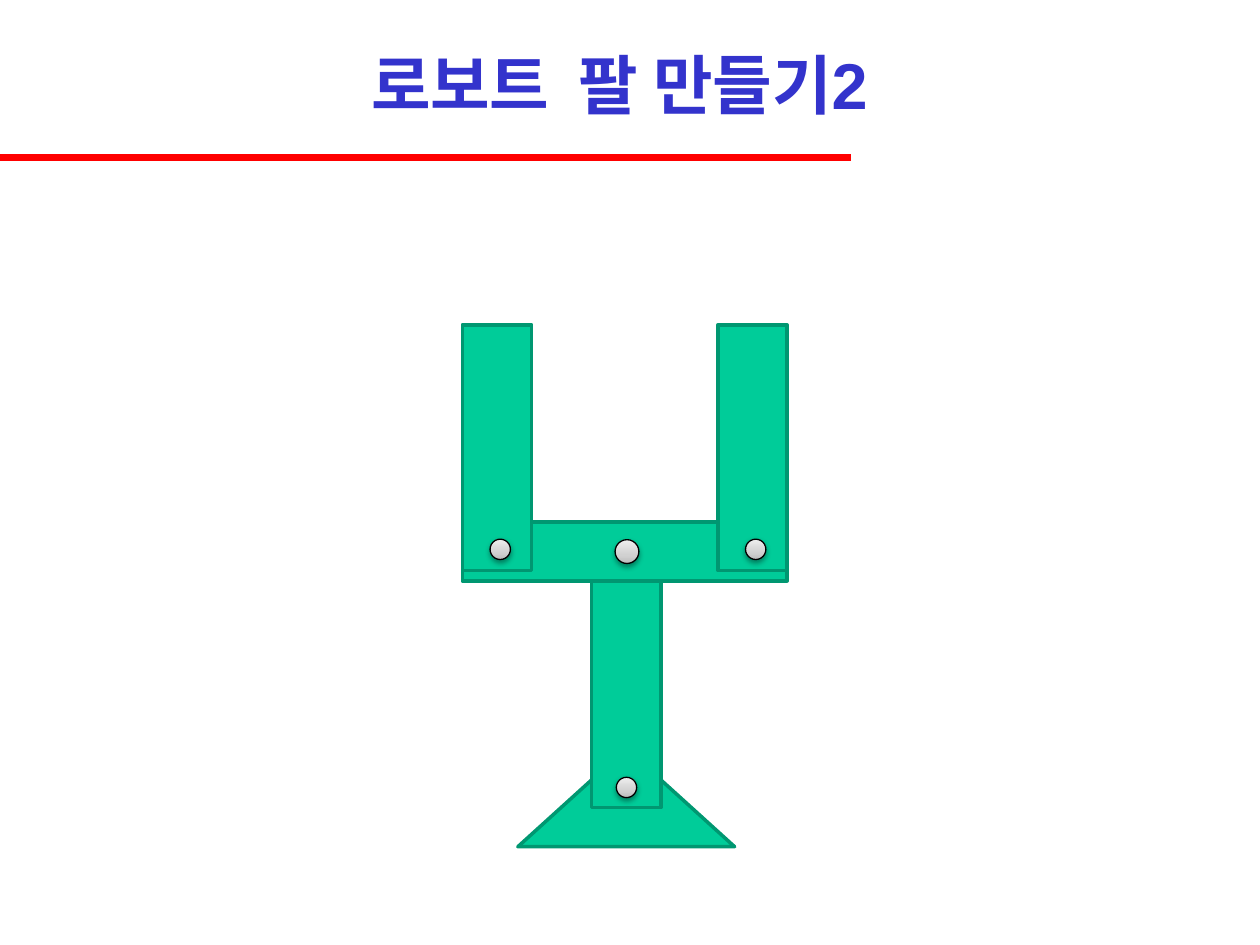
from lxml.etree import SubElement
from pptx import Presentation
from pptx.dml.color import RGBColor
from pptx.enum.shapes import MSO_CONNECTOR as Connector, MSO_SHAPE as Shape
from pptx.enum.text import MSO_ANCHOR as Anchor, PP_ALIGN as Align
from pptx.oxml.ns import qn
from pptx.util import Cm, Pt

RED = RGBColor(0xFF, 0x00, 0x00)
BLUE = RGBColor(0x33, 0x33, 0xCC)
GREEN = RGBColor(0x00, 0xCC, 0x99)
DARK_GREEN = RGBColor(0x00, 0x97, 0x71)
BLACK = RGBColor(0x00, 0x00, 0x00)
METAL = (
    (0, RGBColor(0xBD, 0xBD, 0xBD)),
    (35, RGBColor(0xD1, 0xD1, 0xD1)),
    (100, RGBColor(0xEE, 0xEE, 0xEE)),
)
TITLE_FONT = {"name": "Arial", "size": Pt(37), "bold": True}
TITLE_FRAME = {
    "word_wrap": True,
    "vertical_anchor": Anchor.MIDDLE,
    "margin_left": Cm(0.25),
    "margin_right": Cm(0.25),
    "margin_top": Cm(0.13),
    "margin_bottom": Cm(0.13),
}


def apply_format(target, values):
    for key, value in values.items():
        setattr(target, key, value)


def add_outlined(shapes, kind, box, color, weight):
    part = shapes.add_shape(kind, *map(Cm, box))
    part.shadow.inherit = False
    part.line.color.rgb = color
    part.line.width = Pt(weight)
    return part


def add_plate(shapes, box, kind=Shape.RECTANGLE):
    plate = add_outlined(shapes, kind, box, DARK_GREEN, 2)
    plate.fill.solid()
    plate.fill.fore_color.rgb = GREEN


def add_pin(shapes, left, top, size=0.41):
    pin = add_outlined(shapes, Shape.OVAL, (left, top, size, size), BLACK, 0.75)
    pin.fill.gradient()
    pin.fill.gradient_angle = 90
    properties = pin.element.spPr
    stops = properties.find(".//" + qn("a:gsLst"))
    for stop in list(stops):
        stops.remove(stop)
    for percent, color in METAL:
        stop = SubElement(stops, qn("a:gs"), pos=str(percent * 1000))
        SubElement(stop, qn("a:srgbClr"), val=str(color))
    shadow = SubElement(
        properties.find(qn("a:effectLst")), qn("a:outerShdw"),
        blurRad=str(Pt(3.1)), dist=str(Pt(1.6)), dir="5400000", rotWithShape="0",
    )
    shade = SubElement(shadow, qn("a:srgbClr"), val=str(BLACK))
    SubElement(shade, qn("a:alpha"), val="38000")


def add_header(slide, left, top, width, height):
    rule_y = Cm(top + height)
    rule = slide.shapes.add_connector(
        Connector.STRAIGHT, Cm(left), rule_y, Cm(left + 17.15), rule_y)
    rule.line.color.rgb = RED
    rule.line.width = Pt(4)
    SubElement(rule.element.spPr, qn("a:effectLst"))

    title = slide.shapes.add_textbox(*map(Cm, (left, top, width, height)))
    apply_format(title.text_frame, TITLE_FRAME)
    paragraph = title.text_frame.paragraphs[0]
    paragraph.alignment = Align.CENTER
    run = paragraph.add_run()
    run.text = "로보트  팔 만들기2"
    apply_format(run.font, TITLE_FONT)
    run.font.color.rgb = BLUE


def add_stand(slide, left, top, width, height):
    base_height, post_width, post_height = 1.98, 1.4, 5.56
    add_plate(slide.shapes,
              (left, top + height - base_height, width, base_height),
              Shape.ISOSCELES_TRIANGLE)
    post_left = left + (width - post_width) / 2
    add_plate(slide.shapes, (post_left, top, post_width, post_height))
    add_pin(slide.shapes, post_left + 0.5, top + 4.95)


def add_gripper(slide, left, top, width, height):
    bar_height, finger_width, finger_height = 1.19, 1.4, 4.95
    bar_top = top + height - bar_height
    bar = slide.shapes.add_group_shape().shapes
    add_plate(bar, (left, bar_top, width, bar_height))
    add_pin(bar, left + 3.08, bar_top + 0.36, 0.48)
    for finger_left in (left + width - finger_width, left):
        finger = slide.shapes.add_group_shape().shapes
        add_plate(finger, (finger_left, top, finger_width, finger_height))
        add_pin(finger, finger_left + 0.56, top + 4.32)


def main():
    deck = Presentation()
    deck.slide_width, deck.slide_height = Cm(25.4), Cm(19.05)
    slide = deck.slides.add_slide(deck.slide_layouts[6])
    add_header(slide, 0, 0.2, 24.97, 2.98)
    add_stand(slide, 10.44, 10.72, 4.37, 6.35)
    add_gripper(slide, 9.32, 6.55, 6.55, 5.16)
    deck.save("out.pptx")


if __name__ == "__main__":
    main()
